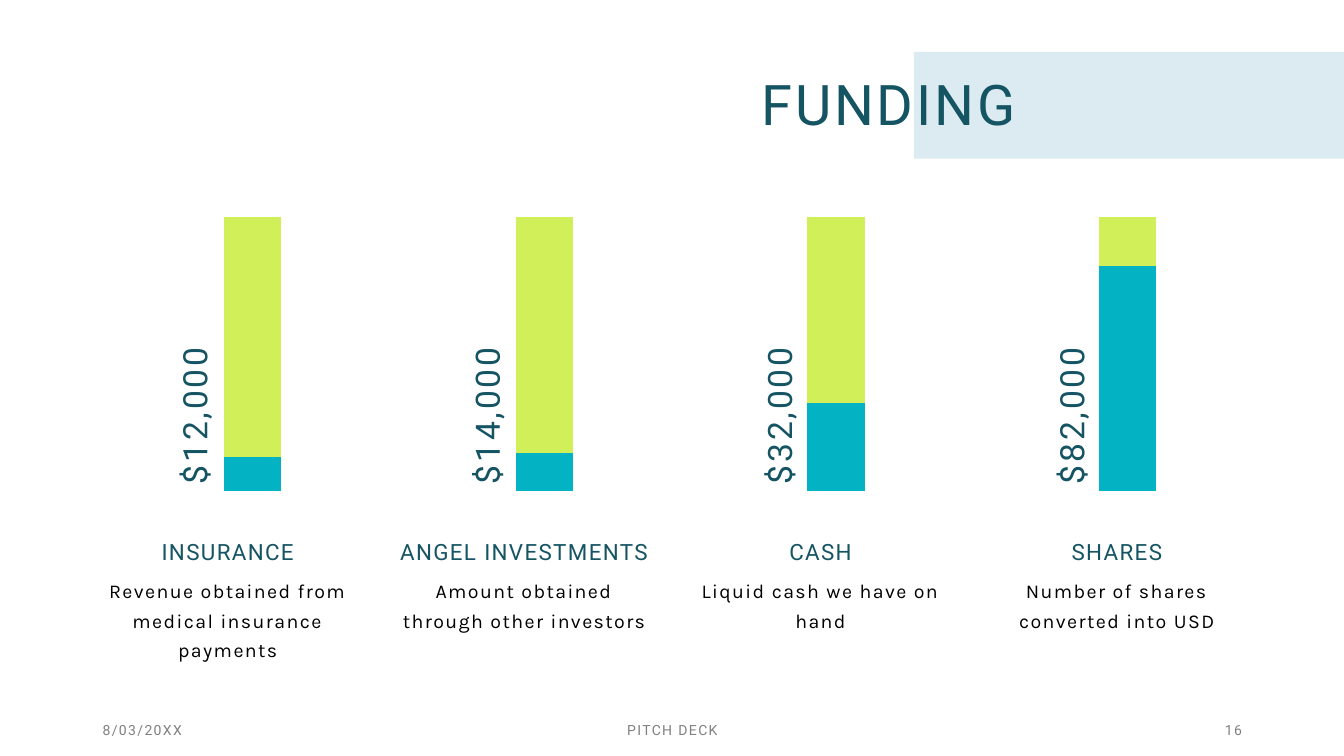
from lxml import etree
from pptx import Presentation, util as u
from pptx.chart.data import CategoryChartData
from pptx.dml.color import RGBColor
from pptx.enum import chart as ch, shapes, text
from pptx.oxml import ns

COLORS = {
    "paper": "FFFFFF", "band": "DCEAF1", "heading": "155463", "body": "000000",
    "footer": "808080", "raised": "04B3C3", "remaining": "D1EF59",
}
LEFT, CENTER, RIGHT = text.PP_ALIGN.LEFT, text.PP_ALIGN.CENTER, text.PP_ALIGN.RIGHT
TOP, MIDDLE, BOTTOM = text.MSO_ANCHOR.TOP, text.MSO_ANCHOR.MIDDLE, text.MSO_ANCHOR.BOTTOM


def color(name):
    return RGBColor.from_string(COLORS[name])


class Deck:
    """Places elements on a grid of 100 columns by 100 rows."""

    heading_font, body_font = "Roboto", "Karla"

    def __init__(self):
        self.file = Presentation()
        self.file.slide_width, self.file.slide_height = u.Inches(13.33), u.Inches(7.5)
        self.slide = self.file.slides.add_slide(self.file.slide_layouts[6])
        background = self.slide.background.fill
        background.solid()
        background.fore_color.rgb = color("paper")

    def place(self, x, y, width, height):
        column, row = self.file.slide_width / 100, self.file.slide_height / 100
        return [round(n) for n in (x * column, y * row, width * column, height * row)]

    def block(self, at, fill):
        block = self.slide.shapes.add_shape(shapes.MSO_SHAPE.RECTANGLE, *self.place(*at))
        block.shadow.inherit = False
        block.fill.solid()
        block.fill.fore_color.rgb = color(fill)
        block.line.fill.background()

    def label(self, words, at, size, ink="heading", font=heading_font, align=LEFT,
              anchor=MIDDLE, tracking=1, leading=1.0, rotation=0, outline=None):
        box = self.slide.shapes.add_textbox(*self.place(*at))
        box.rotation = rotation
        frame = box.text_frame
        frame.word_wrap, frame.vertical_anchor = True, anchor
        line = frame.paragraphs[0]
        line.text, line.alignment, line.line_spacing = words, align, leading
        line.font.name, line.font.size = font, u.Pt(size)
        line.font.color.rgb = color(ink)
        # Letter spacing and outline
        letters = line.runs[0]._r.get_or_add_rPr()
        letters.set("spc", str(tracking * 100))
        if outline:
            stroke = etree.SubElement(letters, ns.qn("a:ln"), w=str(u.Pt(outline)))
            fill = etree.SubElement(stroke, ns.qn("a:solidFill"))
            etree.SubElement(fill, ns.qn("a:srgbClr"), val=COLORS[ink])

    def stacked_bar(self, at, raised, remaining):
        data = CategoryChartData()
        data.categories = ["1"]
        data.add_series("Series 1", [raised])
        data.add_series("Series 2", [remaining])
        chart = self.slide.shapes.add_chart(
            ch.XL_CHART_TYPE.COLUMN_STACKED, *self.place(*at), data).chart
        chart.has_legend = chart.has_title = False
        chart.font.name, chart.font.size = self.body_font, u.Pt(10)
        chart.font.color.rgb = color("body")
        plot = chart.plots[0]
        plot.gap_width, plot.overlap, plot.vary_by_categories = 150, 100, False
        for series, fill in zip(plot.series, ("raised", "remaining")):
            series.format.fill.solid()
            series.format.fill.fore_color.rgb = color(fill)
        # Every bar fills the same height
        scale = chart.value_axis
        scale.minimum_scale, scale.maximum_scale = 0, raised + remaining
        scale.has_major_gridlines = False
        scale.visible = chart.category_axis.visible = False
        # Plot area as shares of the chart
        area = chart._chartSpace.chart.plotArea
        for old in area.findall(ns.qn("c:layout")):
            area.remove(old)
        layout = etree.Element(ns.qn("c:layout"))
        manual = etree.SubElement(layout, ns.qn("c:manualLayout"))
        for tag, value in (("layoutTarget", "inner"), ("xMode", "edge"), ("yMode", "edge"),
                           ("x", "0.02"), ("y", "0.18"), ("w", "0.96"), ("h", "0.8")):
            etree.SubElement(manual, ns.qn(f"c:{tag}"), val=value)
        area.insert(0, layout)


def main():
    deck = Deck()

    # Title
    deck.block((68, 6.87, 32, 14.13), "band")
    deck.label("FUNDING", (47.8, 9.6, 28.5, 9.73), 40, align=RIGHT, tracking=2,
               leading=0.8, outline=1.5)

    # Funding sources
    sources = [
        ("$12,000", 14, 100, "INSURANCE", "Revenue obtained from medical insurance payments"),
        ("$14,000", 16, 100, "ANGEL INVESTMENTS", "Amount obtained through other investors"),
        ("$32,000", 47, 100, "CASH", "Liquid cash we have on hand"),
        ("$82,000", 100, 22, "SHARES", "Number of shares converted into USD"),
    ]
    for i, (amount, raised, remaining, source, description) in enumerate(sources):
        deck.label(amount, (4.65 + 21.75 * i, 44.67, 19.6, 6.53), 24, anchor=BOTTOM,
                   tracking=2, leading=0.8, rotation=270)
        deck.stacked_bar((13.25 + 21.7 * i, 20.53, 11.1, 45.33), raised, remaining)
        caption = 6.9 + 22.05 * i
        deck.label(source, (caption, 66, 20.1, 9.33), 16, align=CENTER, anchor=BOTTOM)
        deck.label(description, (caption, 75.2, 20.1, 14.67), 14, "body", deck.body_font,
                   CENTER, TOP, leading=1.25)

    # Footer
    for words, x, width, align in (("8/03/20XX", 6.9, 22.5, LEFT),
                                   ("PITCH DECK", 33.15, 33.75, CENTER),
                                   ("16", 70.65, 22.5, RIGHT)):
        deck.label(words, (x, 95.07, width, 2.93), 10, "footer", align=align)

    deck.file.save("out.pptx")


if __name__ == "__main__":
    main()
